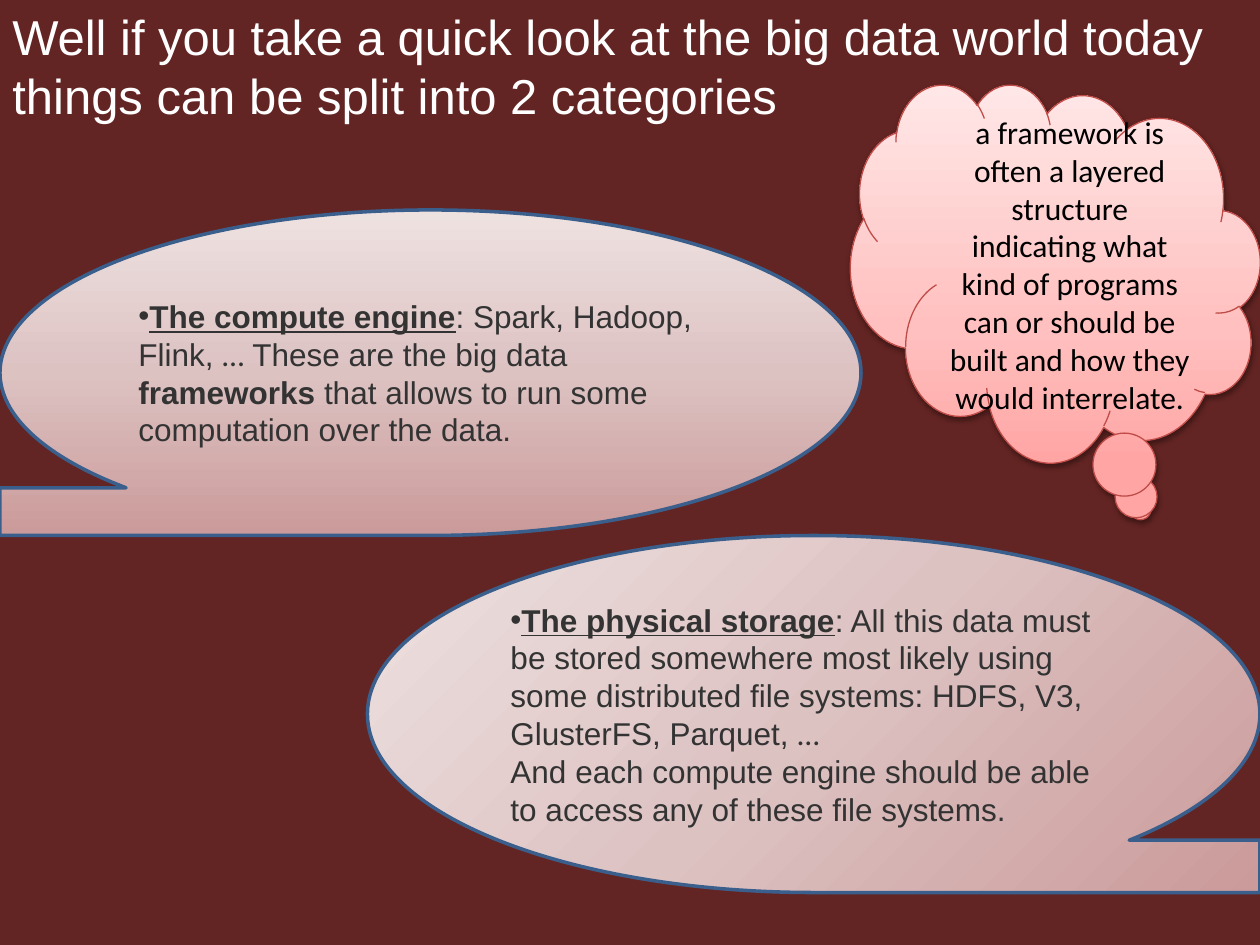
from copy import deepcopy

from lxml import etree
from pptx import Presentation
from pptx.dml.color import RGBColor
from pptx.enum import shapes, text
from pptx.oxml import ns
from pptx.util import Pt

MAROON = RGBColor(0x63, 0x25, 0x23)
WHITE = RGBColor(0xFF, 0xFF, 0xFF)
BLACK = RGBColor(0, 0, 0)
CHARCOAL = RGBColor(0x33, 0x33, 0x33)
BLUE = RGBColor(0x3A, 0x5F, 0x8C)
RED = RGBColor(0xBF, 0x4C, 0x48)
DUSTY_STOPS = [(0, RGBColor(0xCB, 0x9A, 0x9A)), (0.5, RGBColor(0xDD, 0xC2, 0xC2)),
               (1, RGBColor(0xEE, 0xE2, 0xE1))]
PINK_STOPS = [(0, RGBColor(0xFF, 0xA6, 0xA5)), (0.35, RGBColor(0xFF, 0xC0, 0xBF)),
              (1, RGBColor(0xFF, 0xE7, 0xE7))]

# Run formats
PLAIN = {"name": "Arial", "size": Pt(18)}
BOLD = {**PLAIN, "bold": True}
TERM = {**BOLD, "underline": True}
CALIBRI = {**PLAIN, "name": "Calibri"}
HEADING = {**PLAIN, "size": Pt(28)}

COMPUTE_TEXT = [[
    ("The compute engine", TERM), (": Spark, Hadoop, Flink, ", PLAIN), ("…", CALIBRI),
    (" These are the big data ", PLAIN), ("frameworks", BOLD),
    (" that allows to run some computation over the data.", PLAIN),
]]
STORAGE_TEXT = [
    [("The physical storage", TERM),
     (": All this data must be stored somewhere most likely using some distributed "
      "file systems: HDFS, V3, GlusterFS, Parquet, ", PLAIN), ("…", CALIBRI)],
    [("And each compute engine should be able to access any of these file systems.", PLAIN)],
]
FRAMEWORK_TEXT = [[
    ("a framework is often a layered structure indicating what kind of programs "
     "can or should be built and how they would interrelate.", CALIBRI),
]]
TITLE_TEXT = [[("Well if you take a quick look at the big data world today "
                "things can be split into 2 categories", HEADING)]]


def add_bullet(paragraph):
    properties = paragraph._p.get_or_add_pPr()
    properties.set("marL", "0")
    properties.set("indent", "0")
    etree.SubElement(properties, ns.qn("a:buFont"), typeface="Arial")
    etree.SubElement(properties, ns.qn("a:buChar"), char="•")


def write_text(frame, paragraphs, color, alignment, bulleted=False):
    frame.word_wrap = True
    for index, runs in enumerate(paragraphs):
        paragraph = frame.add_paragraph() if index else frame.paragraphs[0]
        paragraph.alignment = alignment
        if bulleted and index == 0:
            add_bullet(paragraph)
        for wording, font_format in runs:
            run = paragraph.add_run()
            run.text = wording
            run.font.color.rgb = color
            for name, value in font_format.items():
                setattr(run.font, name, value)


def fill_gradient(shape, stops, angle):
    shape.fill.gradient()
    shape.fill.gradient_angle = angle
    stop_list = next(shape._element.iter(ns.qn("a:gsLst")))
    stop_list.append(deepcopy(stop_list[0]))
    for stop, (position, color) in zip(shape.fill.gradient_stops, stops):
        stop.position = position
        stop.color.rgb = color


def add_bubble(slide, kind, box, stops, angle, line_color, line_width, flipped=False):
    shape = slide.shapes.add_shape(kind, *map(Pt, box))
    shape.shadow.inherit = False
    fill_gradient(shape, stops, angle)
    shape.line.color.rgb = line_color
    shape.line.width = Pt(line_width)
    shape.text_frame.vertical_anchor = text.MSO_ANCHOR.MIDDLE
    if flipped:
        shape._element.spPr.find(ns.qn("a:xfrm")).set("flipH", "1")
    return shape


def add_speech_bubble(slide, box, angle, paragraphs, flipped=False):
    shape = add_bubble(slide, shapes.MSO_SHAPE.FLOWCHART_SEQUENTIAL_ACCESS_STORAGE, box,
                       DUSTY_STOPS, angle, BLUE, 2, flipped)
    write_text(shape.text_frame, paragraphs, CHARCOAL, text.PP_ALIGN.LEFT, bulleted=True)


def add_drop_shadow(shape):
    effects = shape._element.spPr.find(ns.qn("a:effectLst"))
    shadow = etree.SubElement(effects, ns.qn("a:outerShdw"), blurRad=str(Pt(3.1)),
                              dist=str(Pt(1.6)), dir="5400000", rotWithShape="0")
    color = etree.SubElement(shadow, ns.qn("a:srgbClr"), val=str(BLACK))
    etree.SubElement(color, ns.qn("a:alpha"), val="38000")


def add_thought_cloud(slide, box, paragraphs):
    shape = add_bubble(slide, shapes.MSO_SHAPE.CLOUD_CALLOUT, box,
                       PINK_STOPS, 90, RED, 0.75, flipped=True)
    add_drop_shadow(shape)
    write_text(shape.text_frame, paragraphs, BLACK, text.PP_ALIGN.CENTER)


def add_title(slide, box, paragraphs):
    shape = slide.shapes.add_textbox(*map(Pt, box))
    write_text(shape.text_frame, paragraphs, WHITE, text.PP_ALIGN.LEFT)


def main():
    presentation = Presentation()
    presentation.slide_width, presentation.slide_height = Pt(720), Pt(540)
    slide = presentation.slides.add_slide(presentation.slide_layouts[6])
    slide.background.fill.solid()
    slide.background.fill.fore_color.rgb = MAROON

    # Title
    add_title(slide, (0, 0, 720, 108.7), TITLE_TEXT)

    # The two categories
    add_speech_bubble(slide, (0, 120, 492, 186), 90, COMPUTE_TEXT, flipped=True)
    add_speech_bubble(slide, (210, 306, 510, 204), 135, STORAGE_TEXT)

    # Definition of a framework
    add_thought_cloud(slide, (486, 48, 234, 216), FRAMEWORK_TEXT)

    presentation.save("out.pptx")


if __name__ == "__main__":
    main()
